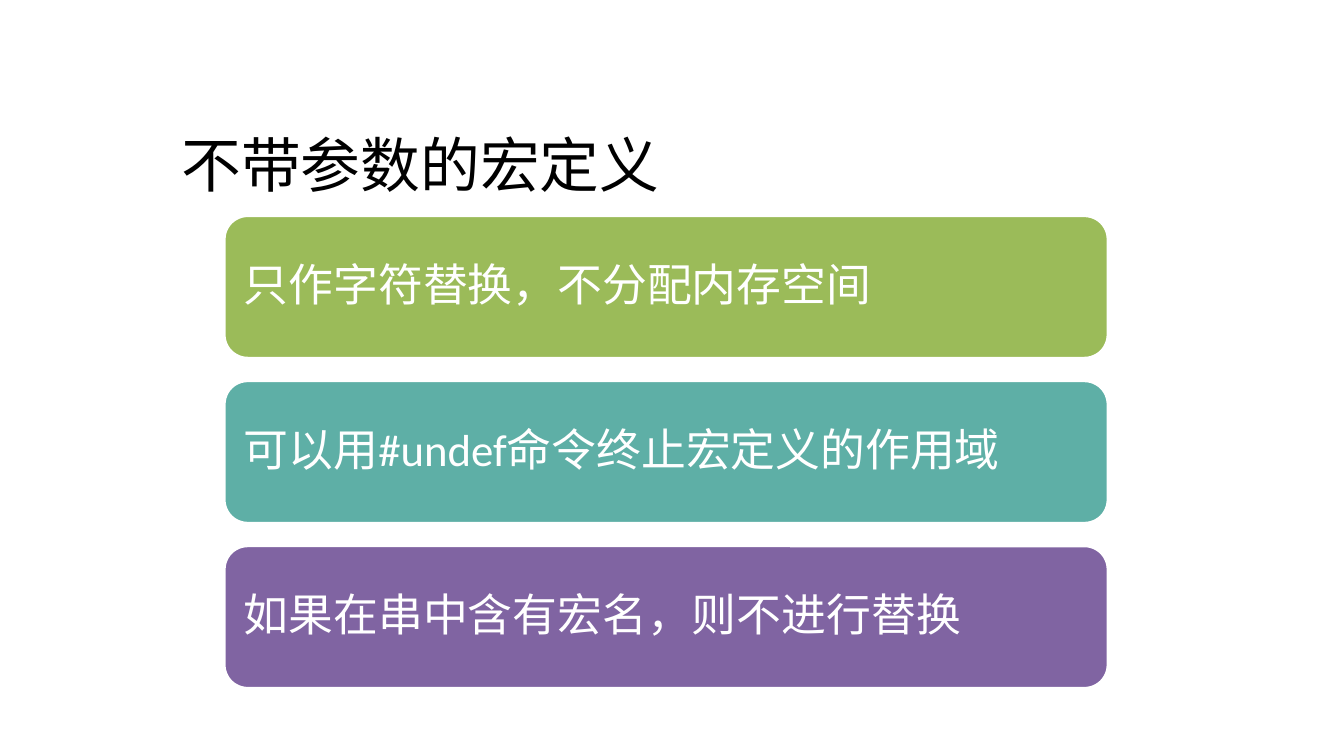
from dataclasses import dataclass

from pptx import Presentation
from pptx.dml.color import RGBColor
from pptx.enum.shapes import MSO_SHAPE as Shape
from pptx.enum.text import MSO_ANCHOR as Anchor, PP_ALIGN as Align
from pptx.util import Cm, Pt


@dataclass(frozen=True)
class Theme:
    font: str = "Calibri"
    title_size: int = 32
    card_size: int = 24
    black: str = "000000"
    white: str = "FFFFFF"
    green: str = "9BBB59"
    teal: str = "5EAFA6"
    purple: str = "8064A2"


theme = Theme()


def write(frame, text, size, color, frame_format, para_format):
    for name, value in frame_format.items():
        setattr(frame, name, value)
    para = frame.paragraphs[0]
    for name, value in para_format.items():
        setattr(para, name, value)
    span = para.add_run()
    span.text = text
    for name, value in {"name": theme.font, "size": Pt(size)}.items():
        setattr(span.font, name, value)
    span.font.color.rgb = RGBColor.from_string(color)


deck = Presentation()
deck.slide_width, deck.slide_height = Cm(25.4), Cm(14.29)
page = deck.slides.add_slide(deck.slide_layouts[6])

# Title
title = page.shapes.add_textbox(Cm(3.18), Cm(2.29), Cm(15.44), Cm(1.7))
write(title.text_frame, "不带参数的宏定义", theme.title_size, theme.black,
      {"word_wrap": True, "vertical_anchor": Anchor.TOP},
      {"alignment": Align.LEFT})

# Stacked cards
cards = [
    ("只作字符替换，不分配内存空间", theme.green),
    ("可以用#undef命令终止宏定义的作用域", theme.teal),
    ("如果在串中含有宏名，则不进行替换", theme.purple),
]
card_left, first_top = 4.23, 4.07
card_width, card_height, gap = 16.72, 2.71, 0.41
margins = {f"margin_{side}": Cm(0.25) for side in ("left", "top", "right", "bottom")}

for index, (text, color) in enumerate(cards):
    top = first_top + index * (card_height + gap)
    card = page.shapes.add_shape(Shape.ROUNDED_RECTANGLE, Cm(card_left), Cm(top),
                                 Cm(card_width), Cm(card_height))
    card.shadow.inherit = False
    card.fill.solid()
    card.fill.fore_color.rgb = RGBColor.from_string(color)
    card.line.color.rgb = RGBColor.from_string(theme.white)
    card.line.width = Pt(2)
    write(card.text_frame, text, theme.card_size, theme.white,
          {"word_wrap": True, "vertical_anchor": Anchor.MIDDLE, **margins},
          {"alignment": Align.LEFT, "line_spacing": 0.9})

deck.save("out.pptx")
